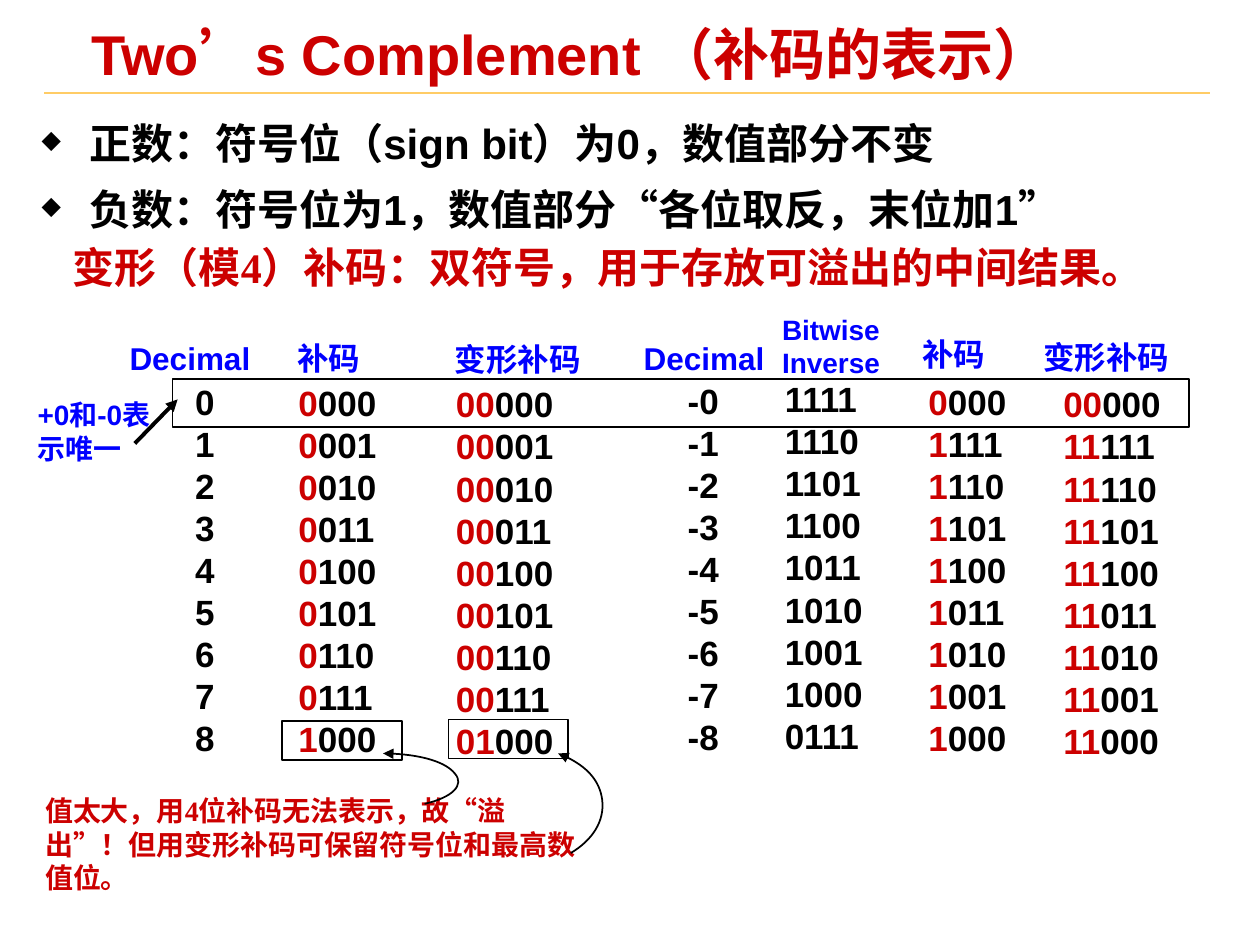
import pptx
import pptx.dml.color
import pptx.enum.lang
import pptx.enum.shapes
import pptx.enum.text
import pptx.util
from lxml import etree
from pptx.oxml.ns import qn

Inches, Pt = pptx.util.Inches, pptx.util.Pt
RED, BLUE, BLACK, GOLD = "CC0000", "0000FF", "000000", "FFCC66"
SERIF = "Times New Roman"

TITLE = " Two’s Complement （补码的表示）"
RULES = ["正数：符号位（sign bit）为0，数值部分不变",
         "负数：符号位为1，数值部分“各位取反，末位加1”"]
MODIFIED = "变形（模4）补码：双符号，用于存放可溢出的中间结果。"
ZERO_NOTE = "+0和-0表示唯一"
OVERFLOW_NOTE = "值太大，用4位补码无法表示，故“溢出”！但用变形补码可保留符号位和最高数值位。"

# header lines, size, position (left, top, width, height)
HEADERS = [
    (["Decimal"], 18, (0.93, 2.64, 1.33, 0.4)),
    (["补码"], 18, (2.26, 2.64, 0.75, 0.4)),
    (["变形补码"], 18, (3.51, 2.65, 1.25, 0.4)),
    (["Decimal"], 18, (5.01, 2.64, 1.33, 0.4)),
    (["Bitwise", "Inverse"], 16, (6.04, 2.43, 1.11, 0.63)),
    (["补码"], 18, (7.22, 2.61, 0.75, 0.4)),
    (["变形补码"], 18, (8.18, 2.63, 1.25, 0.4)),
]


def bits(value, width):
    return format(value % 2 ** width, f"0{width}b")


NUMBERS = range(9)
# left, top, width, count of red sign digits, entries
COLUMNS = [
    (1.45, 2.97, 0.42, 0, [str(n) for n in NUMBERS]),
    (2.27, 2.98, 0.85, 1, [bits(n, 4) for n in NUMBERS]),
    (3.52, 2.99, 1.05, 2, [bits(n, 5) for n in NUMBERS]),
    (5.36, 2.96, 0.72, 0, [f"-{n}" for n in NUMBERS]),
    (6.13, 2.95, 0.85, 0, [bits(~n, 4) for n in NUMBERS]),
    (7.27, 2.97, 0.85, 1, [bits(-n, 4) for n in NUMBERS]),
    (8.34, 2.99, 1.15, 2, [bits(-n, 5) for n in NUMBERS]),
]
FRAMES = [(1.37, 3.01, 8.07, 0.38), (2.24, 5.72, 0.95, 0.31), (3.56, 5.71, 0.95, 0.31)]
# start point, then three points for each Bézier segment
CURVES = [
    [(3.04, 5.98), (3.31, 5.98), (3.54, 6.05), (3.61, 6.14),
     (3.69, 6.23), (3.59, 6.33), (3.37, 6.38)],
    [(4.43, 5.98), (4.62, 6.05), (4.76, 6.19), (4.78, 6.35),
     (4.8, 6.52), (4.7, 6.67), (4.53, 6.77)],
]

deck = pptx.Presentation()
deck.slide_width, deck.slide_height = Inches(10), Inches(7.5)
page = deck.slides.add_slide(deck.slide_layouts[6])


def rgb(value):
    return pptx.dml.color.RGBColor.from_string(value)


def add_text(at, lines, size, color, font="Arial", spacing=1.2, inset=(0.1, 0.05),
             align="LEFT", anchor="TOP"):
    """Add a bold text box; a line is a string or a list of (text, color)."""
    box = page.shapes.add_textbox(*map(Inches, at))
    frame = box.text_frame
    across, down = map(Inches, inset)
    settings = {"word_wrap": True, "margin_left": across, "margin_right": across,
                "margin_top": down, "margin_bottom": down,
                "vertical_anchor": pptx.enum.text.MSO_ANCHOR[anchor]}
    for name, value in settings.items():
        setattr(frame, name, value)
    for index, line in enumerate(lines):
        para = frame.paragraphs[0] if index == 0 else frame.add_paragraph()
        para.alignment = pptx.enum.text.PP_ALIGN[align]
        para.line_spacing = Pt(round(size * spacing, 1))
        para._p.get_or_add_pPr().set("hangingPunct", "0")
        for text, tint in [(line, color)] if isinstance(line, str) else line:
            span = para.add_run()
            span.text = text
            for name, value in {"size": Pt(size), "name": font, "bold": True}.items():
                setattr(span.font, name, value)
            span.font.color.rgb = rgb(tint)
            span.font.language_id = pptx.enum.lang.MSO_LANGUAGE_ID.SIMPLIFIED_CHINESE
    return frame


def add_bullet(para):
    para.space_before = Pt(3)
    props = para._p.get_or_add_pPr()
    props.set("marL", str(Inches(0.38)))
    props.set("indent", str(-Inches(0.38)))
    color = etree.SubElement(props, qn("a:buClr"))
    etree.SubElement(color, qn("a:srgbClr"), val=BLACK)
    etree.SubElement(props, qn("a:buSzPct"), val="60000")
    etree.SubElement(props, qn("a:buChar"), char="◆")


def set_line(shape, color, width, arrow=None):
    """Style an outline; arrow is headEnd or tailEnd."""
    shape.line.color.rgb = rgb(color)
    shape.line.width = Pt(width)
    if arrow:
        etree.SubElement(shape.line._get_or_add_ln(), qn(f"a:{arrow}"), type="triangle")


def add_line(start, end, color, width, arrow=None):
    line = page.shapes.add_connector(pptx.enum.shapes.MSO_CONNECTOR.STRAIGHT,
                                     *map(Inches, start + end))
    set_line(line, color, width, arrow)
    etree.SubElement(line._element.spPr, qn("a:effectLst"))


def add_curve(points):
    """Draw a Bézier outline with an arrowhead at its start."""
    start, *controls = [(Inches(x), Inches(y)) for x, y in points]
    builder = page.shapes.build_freeform(*start)
    builder.add_line_segments(controls, close=False)
    curve = builder.convert_to_shape()
    curve.fill.background()
    curve.shadow.inherit = False
    set_line(curve, BLACK, 1, "headEnd")
    outline = next(curve._element.iter(qn("a:path")))
    steps = outline.findall(qn("a:lnTo"))
    for first in range(0, len(steps), 3):
        bezier = etree.SubElement(outline, qn("a:cubicBezTo"))
        for step in steps[first:first + 3]:
            bezier.append(step[0])
            outline.remove(step)


add_line((0.35, 0.74), (9.6, 0.74), GOLD, 1)
add_text((0.53, 0.2, 8.96, 0.52), [TITLE], 32, RED, spacing=1.04,
         inset=(0.07, 0.03), anchor="MIDDLE")
rules = add_text((0.26, 0.82, 9.4, 1.06), RULES, 24, BLACK, spacing=1.44,
                 inset=(0.07, 0.03))
for para in rules.paragraphs:
    add_bullet(para)
add_text((0.48, 1.87, 9.14, 0.5), [MODIFIED], 24, RED, SERIF)
add_text((0.2, 3.11, 1.21, 0.64), [ZERO_NOTE], 16, BLUE)
add_text((0.26, 6.25, 4.49, 0.9), [OVERFLOW_NOTE], 16, RED, SERIF)

for lines, size, at in HEADERS:
    add_text(at, lines, size, BLUE, align="CENTER" if len(lines) > 1 else "LEFT")
for left, top, width, signs, entries in COLUMNS:
    rows = [[(entry[:signs], RED), (entry[signs:], BLACK)] if signs else entry
            for entry in entries]
    add_text((left, top, width, 3.1), rows, 20, BLACK)

for at in FRAMES:
    frame = page.shapes.add_shape(pptx.enum.shapes.MSO_SHAPE.RECTANGLE, *map(Inches, at))
    frame.fill.background()
    frame.shadow.inherit = False
    set_line(frame, BLACK, 1)
add_line((1.07, 3.52), (1.41, 3.17), BLACK, 2.25, "tailEnd")
for points in CURVES:
    add_curve(points)

deck.save("out.pptx")
